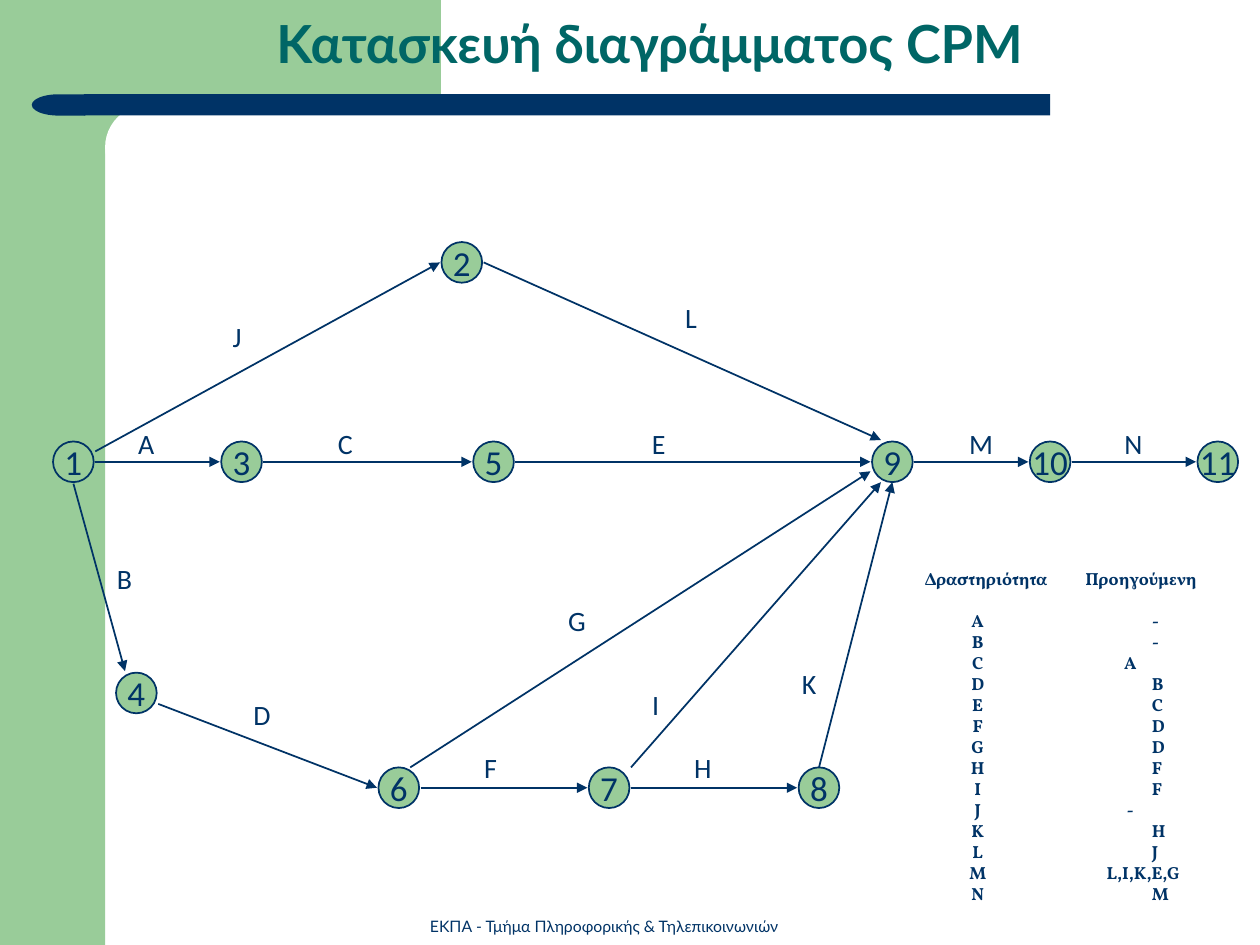
from dataclasses import dataclass

from lxml import etree
from pptx import Presentation
from pptx.dml.color import RGBColor
from pptx.enum.shapes import MSO_CONNECTOR, MSO_SHAPE
from pptx.enum.text import MSO_ANCHOR, PP_ALIGN
from pptx.oxml.ns import qn
from pptx.shapes.autoshape import Shape
from pptx.slide import Slide
from pptx.text.text import TextFrame
from pptx.util import Cm, Pt

RECTANGLE = MSO_SHAPE.RECTANGLE
ROUNDED = MSO_SHAPE.ROUNDED_RECTANGLE
DELAY = MSO_SHAPE.FLOWCHART_DELAY
OVAL = MSO_SHAPE.OVAL
STRAIGHT = MSO_CONNECTOR.STRAIGHT
TOP, MIDDLE, BOTTOM = MSO_ANCHOR.TOP, MSO_ANCHOR.MIDDLE, MSO_ANCHOR.BOTTOM
CENTER = PP_ALIGN.CENTER

COLORS = {"green": "99CC99", "navy": "003366", "teal": "006666", "white": "FFFFFF"}
NODE_SIZE = 0.82
GAP = 0.44
LABEL_SIZE = 0.91
MAIN_ROW, LOWER_ROW = 9.31, 15.88
MAIN_LABELS, LOWER_LABELS = 8.92, 15.47

Point = tuple[float, float]


@dataclass
class Activity:
    name: str
    start: int
    end: int
    label: Point
    leave: Point = (GAP, 0)
    arrive: Point = (-GAP, 0)


@dataclass
class Dependency:
    activity: str
    previous: str
    previous_at: float = 5.06
    activity_at: float = 1.55
    space_after: float = 0


EVENTS: dict[int, Point] = {
    1: (1.48, MAIN_ROW),
    2: (9.31, 5.29),
    3: (4.87, MAIN_ROW),
    4: (2.75, 13.97),
    5: (9.95, MAIN_ROW),
    6: (8.04, LOWER_ROW),
    7: (12.28, LOWER_ROW),
    8: (16.51, LOWER_ROW),
    9: (17.99, MAIN_ROW),
    10: (21.17, MAIN_ROW),
    11: (24.55, MAIN_ROW),
}

ACTIVITIES = [
    Activity("A", 1, 3, (2.95, MAIN_LABELS)),
    Activity("B", 1, 4, (2.51, 11.66), (0, GAP), (-0.23, -GAP)),
    Activity("C", 3, 5, (6.96, MAIN_LABELS)),
    Activity("D", 4, 6, (5.28, 14.4), (GAP, 0.22)),
    Activity("E", 5, 9, (13.28, MAIN_LABELS)),
    Activity("F", 6, 7, (9.89, LOWER_LABELS)),
    Activity("G", 6, 9, (11.63, 12.5), (0.23, -0.41), (-GAP, 0.19)),
    Activity("H", 7, 8, (14.17, LOWER_LABELS)),
    Activity("I", 7, 9, (13.22, 14.2), (GAP, -0.41), (-0.23, 0.41)),
    Activity("J", 1, 2, (4.78, 6.78), (GAP, -0.21)),
    Activity("K", 8, 9, (16.31, 13.77), (0, -0.41), (0, 0.41)),
    Activity("L", 2, 9, (13.93, 6.38), (GAP, 0), (-0.23, -GAP)),
    Activity("M", 9, 10, (19.74, MAIN_LABELS)),
    Activity("N", 10, 11, (22.85, MAIN_LABELS)),
]

DEPENDENCIES = [
    Dependency("Δραστηριότητα", "Προηγούμενη", 3.72, 1.72, 12),
    Dependency("A", "-"),
    Dependency("B", "-"),
    Dependency("C", "A", 4.5),
    Dependency("D", "B"),
    Dependency("E", "C"),
    Dependency("F", "D"),
    Dependency("G", "D"),
    Dependency("H", "F"),
    Dependency("I", "F"),
    Dependency("J", "-", 4.55),
    Dependency("K", "H"),
    Dependency("L", "J"),
    Dependency("M", "L,I,K,E,G", 4.15),
    Dependency("N", "M"),
]


def color(name: str) -> RGBColor:
    return RGBColor.from_string(COLORS[name])


def add_panel(slide: Slide, kind: MSO_SHAPE, left: float, top: float,
              width: float, height: float, fill: str) -> Shape:
    panel = slide.shapes.add_shape(kind, Cm(left), Cm(top), Cm(width), Cm(height))
    panel.shadow.inherit = False
    panel.fill.solid()
    panel.fill.fore_color.rgb = color(fill)
    panel.line.fill.background()
    return panel


def write(paragraph, text: str, size: float, font: str = "Calibri",
          ink: str = "navy", bold: bool = False) -> None:
    run = paragraph.add_run()
    run.text = text
    run.font.size = Pt(size)
    run.font.name = font
    run.font.bold = bold
    run.font.color.rgb = color(ink)


def add_text_area(slide: Slide, left: float, top: float, width: float, height: float,
                  anchor: MSO_ANCHOR = TOP, wrap: bool = True) -> TextFrame:
    frame = slide.shapes.add_textbox(Cm(left), Cm(top), Cm(width), Cm(height)).text_frame
    frame.word_wrap = wrap
    frame.vertical_anchor = anchor
    return frame


def add_centered_text(frame: TextFrame, text: str, size: float, font: str = "Calibri",
                      ink: str = "navy", bold: bool = False) -> None:
    paragraph = frame.paragraphs[0]
    paragraph.alignment = CENTER
    write(paragraph, text, size, font, ink, bold)


def add_event(slide: Slide, number: int, center: Point) -> None:
    x, y = center
    event = add_panel(slide, OVAL, x - NODE_SIZE / 2, y - NODE_SIZE / 2,
                      NODE_SIZE, NODE_SIZE, "green")
    event.line.color.rgb = color("navy")
    event.line.width = Pt(1)
    event.text_frame.word_wrap = False
    event.text_frame.vertical_anchor = MIDDLE
    add_centered_text(event.text_frame, str(number), 20)


def add_activity(slide: Slide, activity: Activity) -> None:
    start_x, start_y = (a + b for a, b in zip(EVENTS[activity.start], activity.leave))
    end_x, end_y = (a + b for a, b in zip(EVENTS[activity.end], activity.arrive))
    arrow = slide.shapes.add_connector(STRAIGHT, Cm(start_x), Cm(start_y), Cm(end_x), Cm(end_y))
    arrow.line.color.rgb = color("navy")
    arrow.line.width = Pt(1)
    etree.SubElement(arrow.line._get_or_add_ln(), qn("a:tailEnd"), type="triangle")
    etree.SubElement(arrow._element.spPr, qn("a:effectLst"))
    x, y = activity.label
    label = add_text_area(slide, x - LABEL_SIZE / 2, y - LABEL_SIZE / 2,
                          LABEL_SIZE, LABEL_SIZE, wrap=False)
    add_centered_text(label, activity.name, 16)


def add_dependencies(slide: Slide, dependencies: list[Dependency]) -> None:
    frame = add_text_area(slide, 17.91, 11.33, 7.01, 7.04)
    for index, row in enumerate(dependencies):
        paragraph = frame.add_paragraph() if index else frame.paragraphs[0]
        tabs = etree.SubElement(paragraph._p.get_or_add_pPr(), qn("a:tabLst"))
        for position, align in ((row.activity_at, "ctr"), (row.previous_at, "l")):
            etree.SubElement(tabs, qn("a:tab"), pos=str(Cm(position)), algn=align)
        paragraph.line_spacing = Pt(12)
        paragraph.space_after = Pt(row.space_after)
        write(paragraph, f"\t{row.activity}\t{row.previous}", 10, "Vollkorn", bold=True)


def main() -> None:
    prs = Presentation()
    prs.slide_width, prs.slide_height = Cm(25.4), Cm(19.05)
    slide = prs.slides.add_slide(prs.slide_layouts[6])

    add_panel(slide, RECTANGLE, 0, 0, 2.12, 19.05, "green")
    add_panel(slide, RECTANGLE, 1.9, 0, 6.99, 2.96, "green")
    corner = add_panel(slide, ROUNDED, 2.12, 2.12, 14.17, 1.69, "white")
    corner.adjustments[0] = 0.5
    add_panel(slide, RECTANGLE, 1.69, 1.9, 19.48, 0.43, "navy")
    bar_tip = add_panel(slide, DELAY, 0.64, 1.9, 1.08, 0.43, "navy")
    bar_tip.rotation = 180

    footer = add_text_area(slide, 8.15, 18.34, 8.05, 0.64, BOTTOM)
    add_centered_text(footer, "ΕΚΠΑ - Τμήμα Πληροφορικής & Τηλεπικοινωνιών", 9, "Lato")

    for number, center in EVENTS.items():
        add_event(slide, number, center)
    for activity in ACTIVITIES:
        add_activity(slide, activity)
    add_dependencies(slide, DEPENDENCIES)

    title = add_text_area(slide, 2.29, 0, 21.62, 1.7, MIDDLE)
    add_centered_text(title, "Κατασκευή διαγράμματος CPM", 30, "Lato", "teal", True)

    prs.save("out.pptx")


if __name__ == "__main__":
    main()
